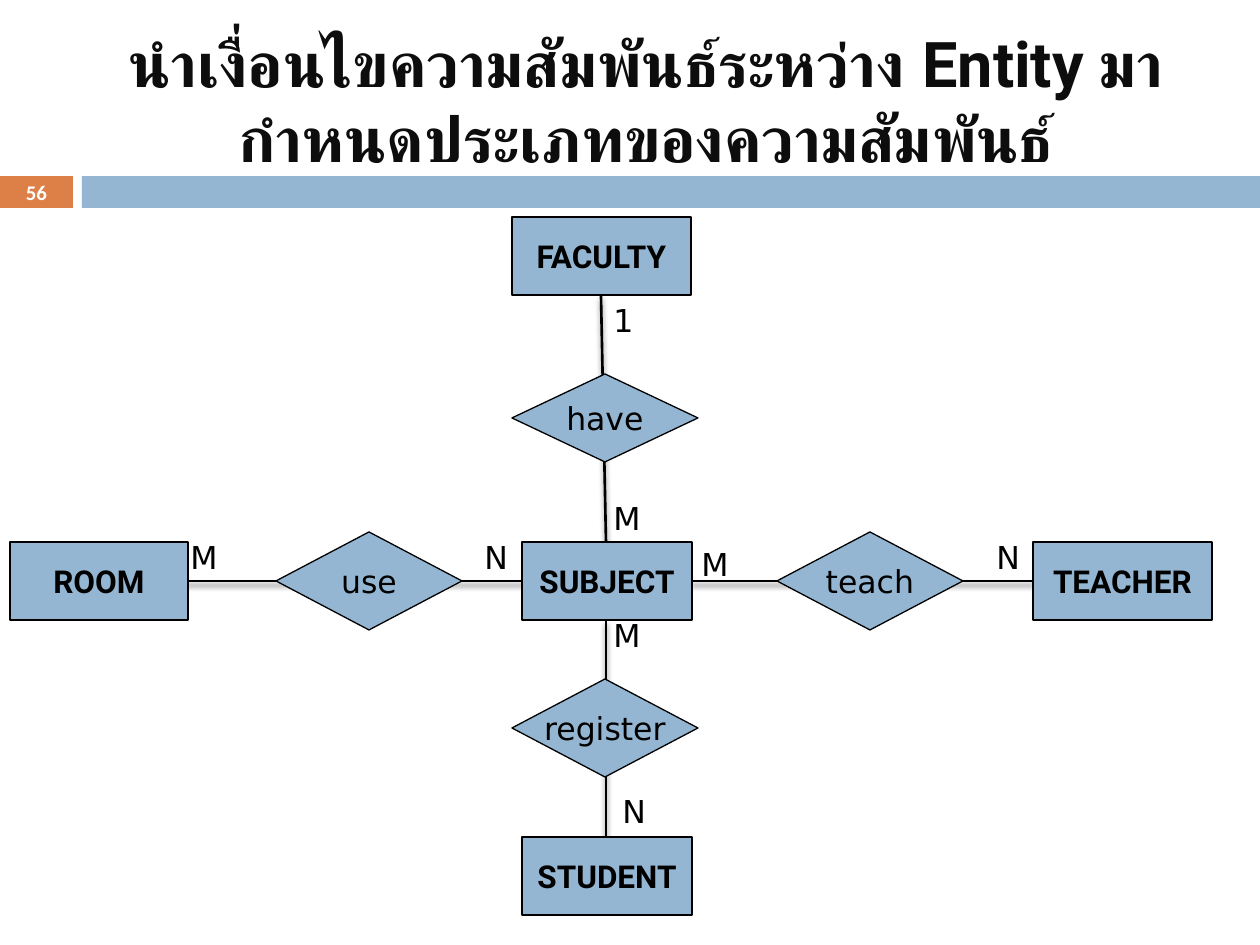
from dataclasses import dataclass

from lxml import etree
from pptx import Presentation
from pptx.dml.color import RGBColor
from pptx.enum.shapes import MSO_CONNECTOR, MSO_SHAPE
from pptx.enum.text import MSO_ANCHOR, PP_ALIGN
from pptx.oxml.ns import qn
from pptx.util import Emu, Pt

RECT = MSO_SHAPE.RECTANGLE
RHOMB = MSO_SHAPE.FLOWCHART_DECISION
LINE = MSO_CONNECTOR.STRAIGHT
MID, TOP = MSO_ANCHOR.MIDDLE, MSO_ANCHOR.TOP
MIDST, LEFT = PP_ALIGN.CENTER, PP_ALIGN.LEFT
SCALE = 914400 / 126


@dataclass(frozen=True)
class Theme:
    ink: str = "000000"
    head: str = "0D0D0D"
    white: str = "FFFFFF"
    blue: str = "94B6D2"
    rust: str = "DD8047"
    sans: str = "Roboto"
    plain: str = "DejaVu Sans"
    small: str = "Calibri"
    title: float = 36
    body: float = 18
    page: float = 11.9
    edge: float = 0.75
    link: float = 1.5


THEME = Theme()
HEAD = dict(name=THEME.sans, size=Pt(THEME.title), bold=True, color=THEME.head)
PAGE = dict(name=THEME.small, size=Pt(THEME.page), bold=True, color=THEME.white)
NAME = dict(name=THEME.sans, size=Pt(THEME.body), bold=True, color=THEME.ink)
VERB = dict(name=THEME.plain, size=Pt(THEME.body), bold=False, color=THEME.ink)

ROW, HIGH = 542, 78
ENDS = [
    ("FACULTY", 512, 217, 179),
    ("SUBJECT", 522, ROW, 170),
    ("TEACHER", 1033, ROW, 179),
    ("STUDENT", 522, 837, 170),
    ("ROOM", 10, ROW, 178),
]
VERBS = [
    ("have", 512, 374, 88),
    ("teach", 777, 532, 98),
    ("register", 512, 679, 98),
    ("use", 276, 532, 98),
]
LINKS = [
    (186, 581, 529, 581),
    (606, 620, 606, 837),
    (692, 581, 1033, 581),
    (601, 295, 606, 542),
]
MARKS = [
    ("M", 601, 493),
    ("1", 601, 295),
    ("M", 689, 539),
    ("N", 984, 532),
    ("M", 178, 532),
    ("N", 472, 532),
    ("M", 601, 610),
    ("N", 610, 786),
]


def px(*nums):
    return [Emu(round(n * SCALE)) for n in nums]


def tint(code):
    return RGBColor.from_string(code)


def write(shape, text, form, align=MIDST, anchor=MID, wrap=True):
    frame = shape.text_frame
    for key, val in dict(word_wrap=wrap, vertical_anchor=anchor).items():
        setattr(frame, key, val)
    para = frame.paragraphs[0]
    para.alignment = align
    run = para.add_run()
    run.text = text
    for key, val in form.items():
        if key == "color":
            run.font.color.rgb = tint(val)
        else:
            setattr(run.font, key, val)


def block(slide, kind, box, fill, edge=None):
    shape = slide.shapes.add_shape(kind, *px(*box))
    shape.shadow.inherit = False
    shape.fill.solid()
    shape.fill.fore_color.rgb = tint(fill)
    if edge:
        shape.line.color.rgb = tint(edge)
        shape.line.width = Pt(THEME.edge)
    else:
        shape.line.fill.background()
    return shape


def node(slide, kind, text, box, form):
    shape = block(slide, kind, box, THEME.blue, THEME.ink)
    write(shape, text, form, wrap=False)


def label(slide, text, box, form, **rest):
    write(slide.shapes.add_textbox(*px(*box)), text, form, **rest)


def link(slide, ends):
    line = slide.shapes.add_connector(LINE, *px(*ends))
    line.line.color.rgb = tint(THEME.ink)
    line.line.width = Pt(THEME.link)
    prop = line.line._get_or_add_ln().getparent()
    glow = etree.SubElement(prop, qn("a:effectLst"))
    shade = etree.SubElement(
        glow, qn("a:outerShdw"), blurRad=str(Pt(3)), dist=str(Pt(2.4)),
        dir="5400000", rotWithShape="0")
    hue = etree.SubElement(shade, qn("a:srgbClr"), val=THEME.ink)
    etree.SubElement(hue, qn("a:alpha"), val="45000")


def main():
    deck = Presentation()
    deck.slide_width, deck.slide_height = px(1260, 945)
    slide = deck.slides.add_slide(deck.slide_layouts[6])
    block(slide, RECT, (0, 176, 73, 32), THEME.rust)
    block(slide, RECT, (82, 176, 1178, 32), THEME.blue)
    for ends in LINKS:
        link(slide, ends)
    label(slide, "นำเงื่อนไขความสัมพันธ์ระหว่าง Entity มากำหนดประเภทของความสัมพันธ์",
          (84, 32, 1124, 136), HEAD)
    label(slide, "56", (0, 175, 73, 34), PAGE)
    for text, left, top, wide in ENDS:
        node(slide, RECT, text, (left, top, wide, HIGH), NAME)
    for text, left, top, high in VERBS:
        node(slide, RHOMB, text, (left, top, 186, high), VERB)
    for text, left, top in MARKS:
        label(slide, text, (left, top, 49, 50), VERB, align=LEFT, anchor=TOP)
    deck.save("out.pptx")


if __name__ == "__main__":
    main()
